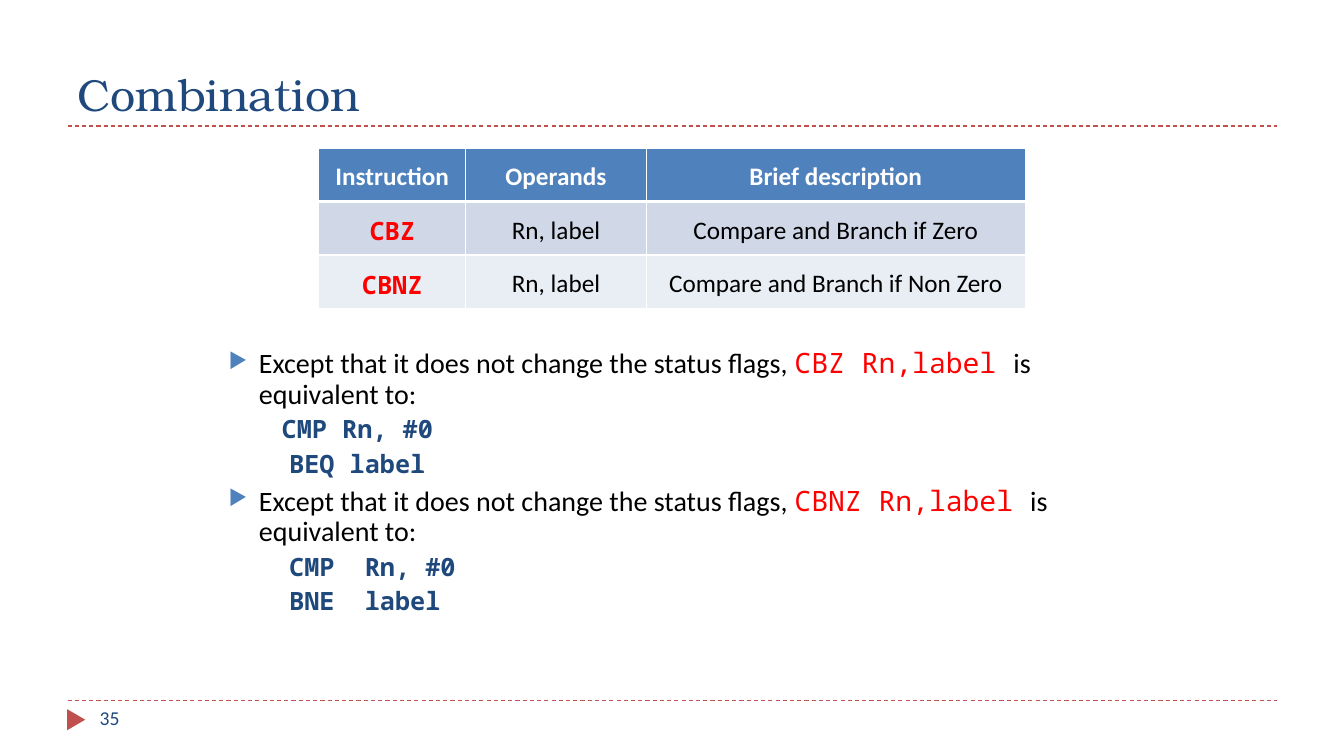
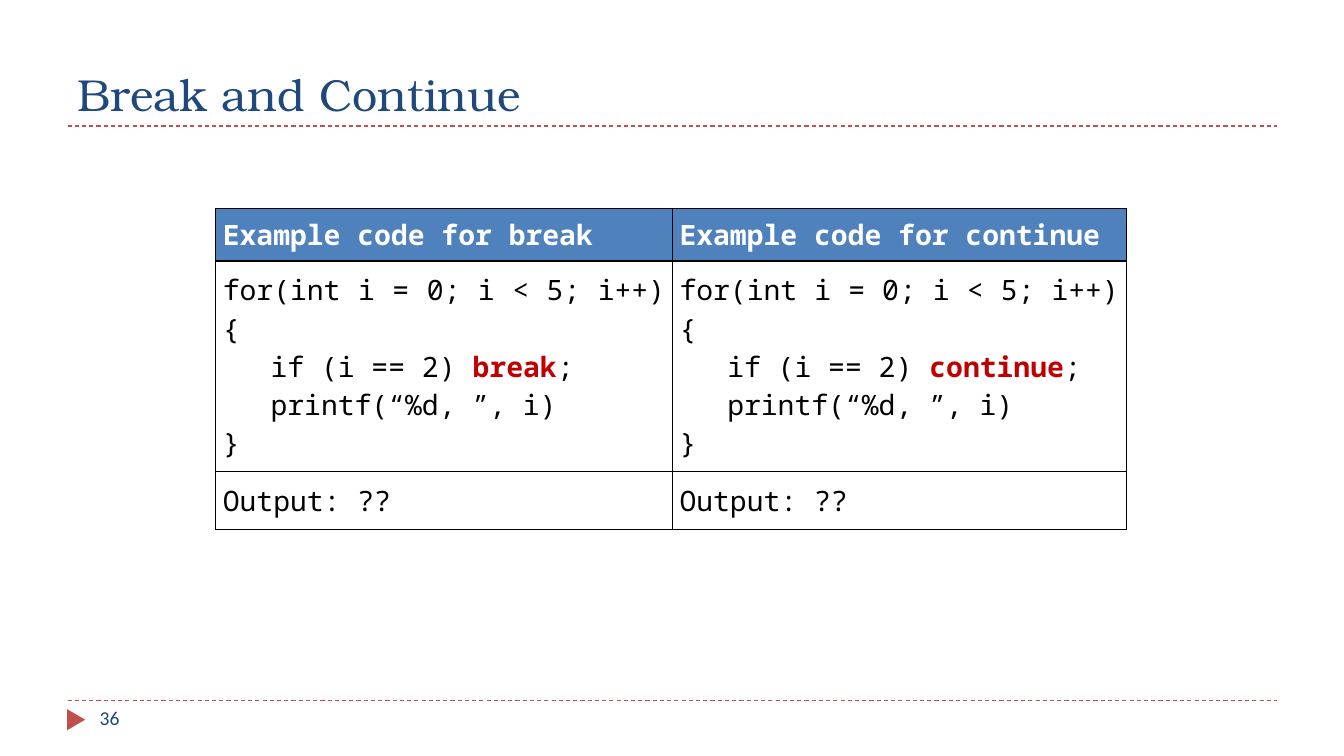
from lxml.etree import SubElement
from pptx import Presentation
from pptx.dml.color import RGBColor
from pptx.enum.dml import MSO_LINE
from pptx.enum.shapes import MSO_CONNECTOR, MSO_SHAPE
from pptx.enum.text import MSO_ANCHOR, MSO_AUTO_SIZE, PP_ALIGN
from pptx.oxml.ns import qn
from pptx.util import Pt

PX = 9144
WHITE = RGBColor(0xFF, 0xFF, 0xFF)
BLACK = RGBColor(0x00, 0x00, 0x00)
NAVY = RGBColor(0x1F, 0x49, 0x7D)
BLUE = RGBColor(0x4F, 0x81, 0xBD)
BRICK = RGBColor(0xC0, 0x50, 0x4D)
RED = RGBColor(0xFF, 0x00, 0x00)
DARK = RGBColor(0xC0, 0x00, 0x00)
BAND = RGBColor(0xD0, 0xD8, 0xE8)
PALE = RGBColor(0xE9, 0xED, 0xF4)
SANS, MONO, SERIF = "Calibri", "Noto Sans Mono", "TeX Gyre Bonum"


def style(name, size, color, bold=False):
    """Describe the font of a run."""
    return {"name": name, "size": Pt(size), "bold": bold, "color": color}


TITLE = style(SERIF, 32, NAVY)
PAGE = style(SANS, 14, NAVY)
BODY = style(SANS, 20, BLACK)
TERM = style(MONO, 20, RED)
STEP = style(MONO, 18, NAVY, True)
PAD = style(SANS, 18, NAVY, True)
HEAD = style(SANS, 18, WHITE, True)
NAME = style(MONO, 18, RED, True)
CELL = style(SANS, 18, BLACK)
CODE = style(MONO, 20, BLACK)
KEY = style(MONO, 20, DARK, True)
TOP = style(MONO, 20, WHITE, True)

LEFT = {"alignment": PP_ALIGN.LEFT}
MID = {"alignment": PP_ALIGN.CENTER, "line_spacing": 1.15}
FULL = {"alignment": PP_ALIGN.JUSTIFY}
ITEM = {"line_spacing": 0.9, "space_before": Pt(6)}
SUB = {"line_spacing": 0.9, "space_before": Pt(5), "level": 1}


def px(*nums):
    """Turn px into EMU."""
    return [n * PX for n in nums]


def put(obj, form):
    """Set attributes from a dict of format values."""
    for key, val in form.items():
        if key == "color":
            obj.color.rgb = val
        else:
            setattr(obj, key, val)


def indent(para, margin, first):
    """Set the left margin and first-line indent of a paragraph."""
    props = para._p.get_or_add_pPr()
    for key, val in (("marL", margin), ("indent", first)):
        props.set(key, str(val * PX))
    return props


def bullet(para):
    """Give a paragraph a blue triangle bullet."""
    props = indent(para, 30, -30)
    tint = SubElement(props, qn("a:buClr"))
    SubElement(tint, qn("a:srgbClr"), val=str(BLUE))
    SubElement(props, qn("a:buSzPct"), val="76000")
    SubElement(props, qn("a:buChar"), char="▶")


def write(frame, paras):
    """Fill a text frame with (format, runs) paragraphs."""
    for num, (form, runs) in enumerate(paras):
        para = frame.add_paragraph() if num else frame.paragraphs[0]
        put(para, form)
        if not num:
            para.space_before = Pt(0)
        for text, font in runs:
            run = para.add_run()
            run.text = text
            put(run.font, font)


def label(slide, box, paras):
    """Add a wrapped text box."""
    frame = slide.shapes.add_textbox(*px(*box)).text_frame
    frame.word_wrap = True
    write(frame, paras)
    return frame


def rule(slide, x, y, wide):
    """Draw a dashed horizontal rule."""
    line = slide.shapes.add_connector(
        MSO_CONNECTOR.STRAIGHT, *px(x, y, x + wide, y))
    put(line.line, {"color": BRICK, "width": Pt(0.75),
                    "dash_style": MSO_LINE.DASH})
    SubElement(line._element.spPr, qn("a:effectLst"))


def footer(slide, box, page):
    """Draw the rule, marker and page number."""
    x, y, wide, high = box
    rule(slide, x, y, wide)
    mark = slide.shapes.add_shape(
        MSO_SHAPE.ISOSCELES_TRIANGLE, *px(x - 2, y + 10, 21, 18))
    mark.rotation = 90
    mark.shadow.inherit = False
    mark.fill.solid()
    mark.fill.fore_color.rgb = BRICK
    mark.line.fill.background()
    label(slide, (x + 22, y, 289, high), [(LEFT, [(page, PAGE)])])


def base(deck, title, page):
    """Start a slide with its title, rules and footer."""
    slide = deck.slides.add_slide(deck.slide_layouts[5])
    head = slide.shapes.title
    put(head, dict(zip(("left", "top", "width", "height"),
                       px(67, 17, 1200, 108))))
    frame = head.text_frame
    put(frame, {"vertical_anchor": MSO_ANCHOR.BOTTOM, "word_wrap": True,
                "auto_size": MSO_AUTO_SIZE.NONE})
    write(frame, [(LEFT, [(title, TITLE)])])
    rule(slide, 67, 125, 1200)
    footer(slide, (67, 695, 1200, 40), page)
    return slide


def edge(cell, color, low=1):
    """Draw the four borders of a cell."""
    props = cell._tc.get_or_add_tcPr()
    for side, width in (("L", 1), ("R", 1), ("T", 1), ("B", low)):
        line = SubElement(props, qn("a:ln" + side), w=str(Pt(width)))
        fill = SubElement(line, qn("a:solidFill"))
        SubElement(fill, qn("a:srgbClr"), val=str(color))


def grid(slide, spot, cols, rows, cells, fills, color, low=1):
    """Add a table with one fill per row and thick header base."""
    box = (*spot, sum(cols), sum(rows))
    table = slide.shapes.add_table(len(rows), len(cols), *px(*box)).table
    put(table, {"first_row": False, "horz_banding": False})
    for col, wide in zip(table.columns, px(*cols)):
        col.width = wide
    for r, (row, high) in enumerate(zip(table.rows, px(*rows))):
        row.height = high
        for c, cell in enumerate(row.cells):
            put(cell, {"vertical_anchor": MSO_ANCHOR.MIDDLE,
                       "margin_left": 7 * PX, "margin_right": 7 * PX,
                       "margin_top": 0, "margin_bottom": 0})
            edge(cell, color, 1 if r else low)
            if fills[r] is None:
                cell.fill.background()
            else:
                cell.fill.solid()
                cell.fill.fore_color.rgb = fills[r]
            write(cell.text_frame, cells[r][c])
    return table


def combo(deck):
    """Build the compare-and-branch slide."""
    slide = base(deck, "Combination", "35")
    data = [
        ("Instruction", "Operands", "Brief description"),
        ("CBZ", "Rn, label", "Compare and Branch if Zero"),
        ("CBNZ", "Rn, label", "Compare and Branch if Non Zero"),
    ]
    fonts = [(HEAD,) * 3] + [(NAME, CELL, CELL)] * 2
    cells = [[[(MID, [pair])] for pair in zip(*row)]
             for row in zip(data, fonts)]
    grid(slide, (316, 147), (146, 179, 376), (53,) * 3, cells,
         (BLUE, BAND, PALE), WHITE, 3)
    paras = []
    for term, steps in (
        ("CBZ", ([("    ", PAD), ("CMP Rn, #0", STEP)],
                 [("  BEQ label", STEP)])),
        ("CBNZ", ([("  CMP  Rn, #0", STEP)], [("  BNE  label", STEP)])),
    ):
        paras.append((ITEM, [
            ("Except that it does not change the status flags, ", BODY),
            (term + " Rn,label ", TERM), ("is equivalent to:", BODY)]))
        paras += [(SUB, step) for step in steps]
    frame = label(slide, (217, 342, 900, 332), paras)
    for para in frame.paragraphs:
        if para.level:
            indent(para, 30, 0)
        else:
            bullet(para)


def loops(deck):
    """Build the break and continue slide."""
    slide = base(deck, "Break and Continue", "36")
    words = ("break", "continue")
    cells = [
        [[(FULL, [("Example code for " + word, TOP)])] for word in words],
        [[(FULL, [("for(int i = 0; i < 5; i++){", CODE)]),
          (FULL, [("  if (i == 2) ", CODE), (word, KEY), (";", CODE)]),
          (FULL, [("  printf(“%d, ”, i)", CODE)]),
          (FULL, [("}", CODE)])] for word in words],
        [[(FULL, [("Output: ??", CODE)])] for word in words],
    ]
    table = grid(slide, (214, 207), (453, 450), (52, 209, 57), cells,
                 (BLUE, None, None), BLACK)
    for cell in table.rows[1].cells:
        for para in cell.text_frame.paragraphs[1:3]:
            indent(para, 0, 14)


def main():
    """Build and save the deck."""
    deck = Presentation()
    put(deck, dict(zip(("slide_width", "slide_height"), px(1333, 750))))
    combo(deck)
    loops(deck)
    deck.save("out.pptx")


if __name__ == "__main__":
    main()
